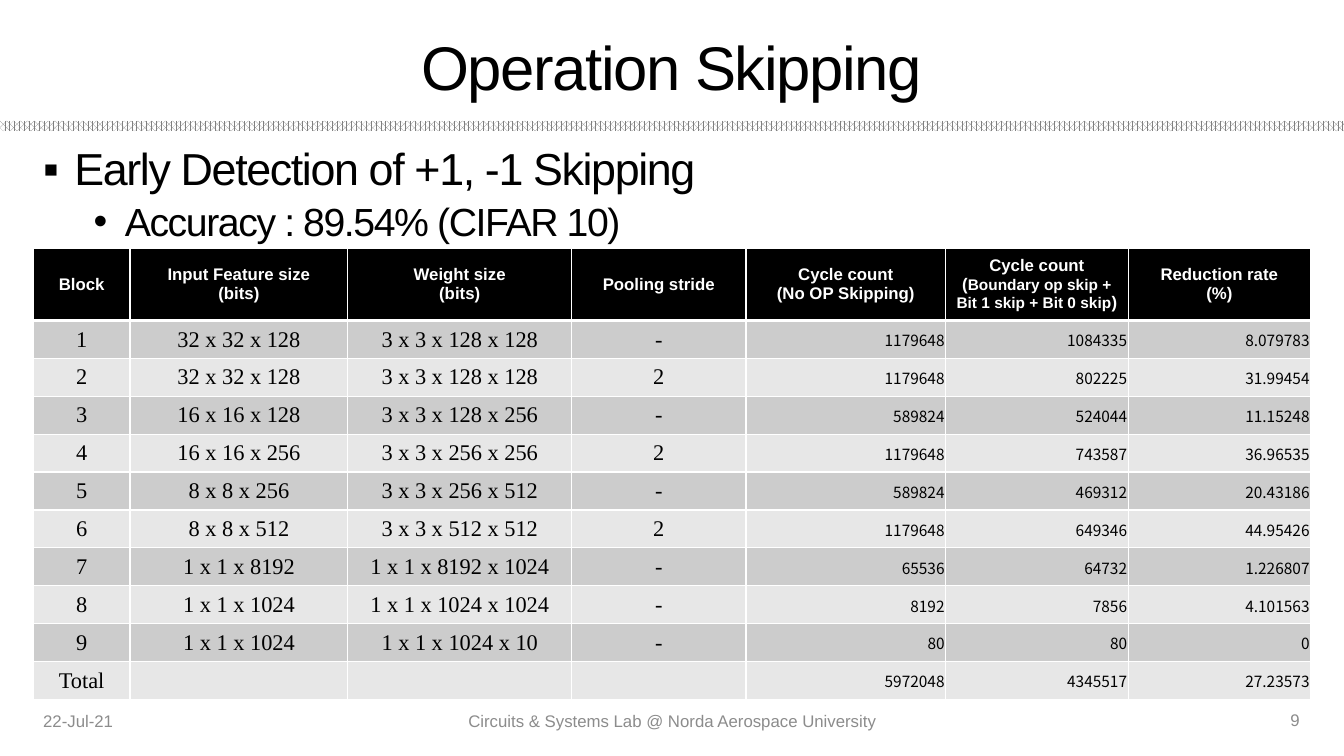
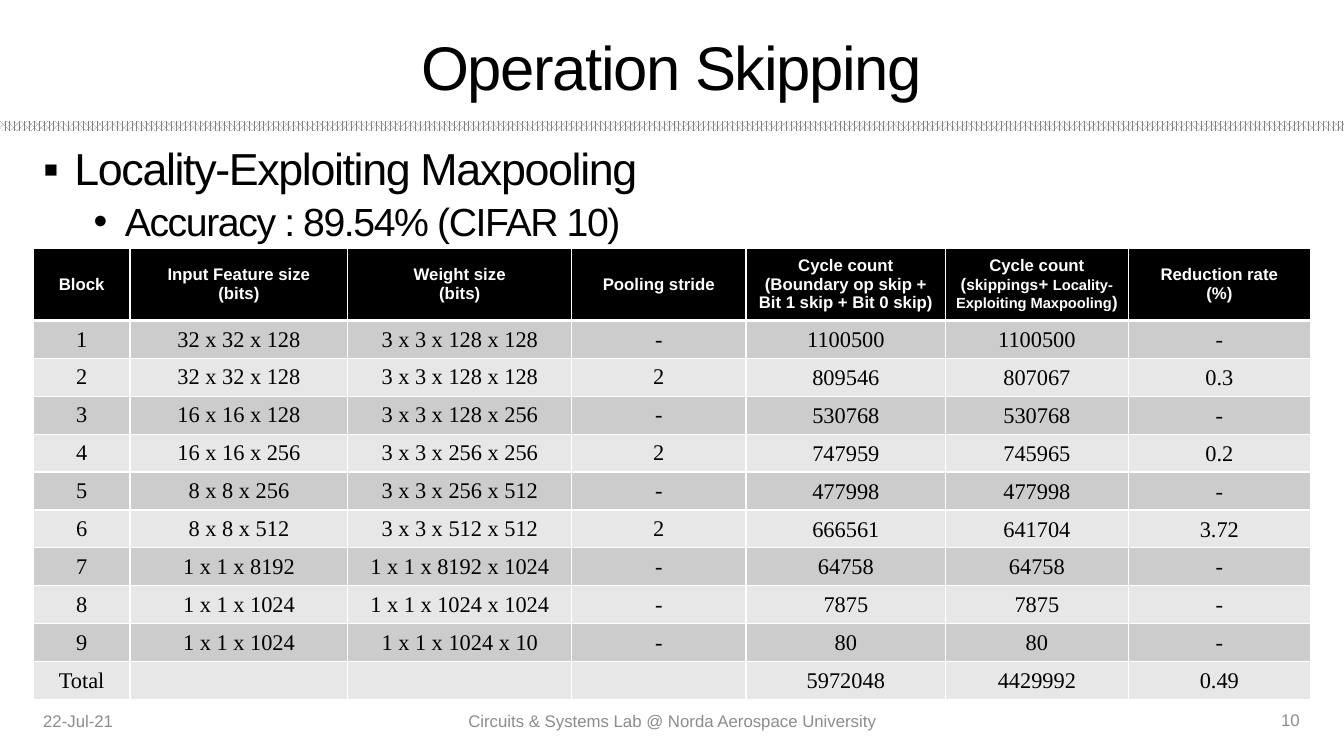
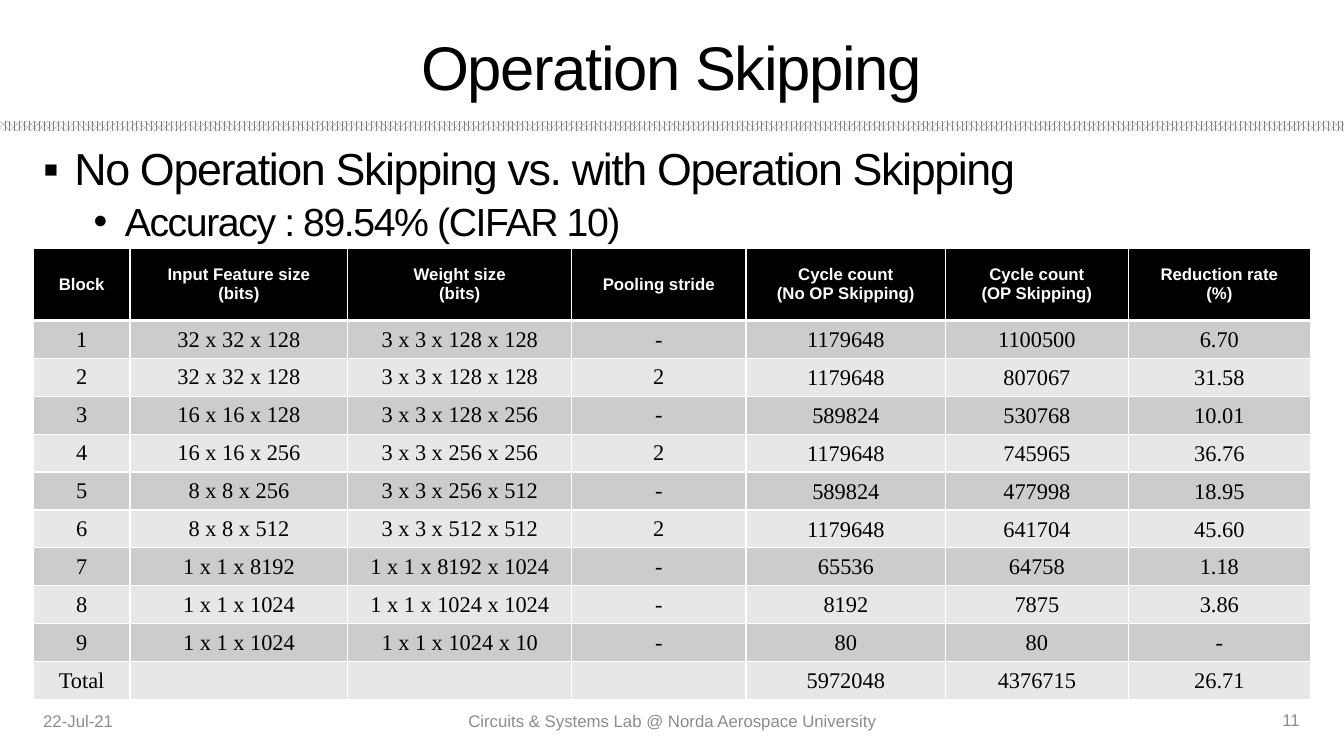
"""Build three slides that compare cycle counts under operation skipping."""
from dataclasses import dataclass

from lxml import etree
from pptx import Presentation
from pptx.dml.color import RGBColor
from pptx.enum.dml import MSO_PATTERN
from pptx.enum.shapes import MSO_SHAPE
from pptx.enum.text import MSO_ANCHOR, PP_ALIGN
from pptx.oxml.ns import qn
from pptx.util import Inches, Pt

LEFT, CENTER, RIGHT = PP_ALIGN.LEFT, PP_ALIGN.CENTER, PP_ALIGN.RIGHT
TOP, MIDDLE = MSO_ANCHOR.TOP, MSO_ANCHOR.MIDDLE
RECT, DENSE_PATTERN = MSO_SHAPE.RECTANGLE, MSO_PATTERN.PERCENT_70

BLACK = RGBColor(0x00, 0x00, 0x00)
WHITE = RGBColor(0xFF, 0xFF, 0xFF)
BAND_GRAY = RGBColor(0x80, 0x80, 0x80)
FOOTER_GRAY = RGBColor(0x8C, 0x8C, 0x8C)
ROW_DARK = RGBColor(0xCC, 0xCC, 0xCC)
ROW_LIGHT = RGBColor(0xE7, 0xE7, 0xE7)

SANS, SERIF, CJK = "Arial", "Times New Roman", "Noto Sans CJK KR"
SLIDE_W, SLIDE_H = 13.33, 7.5
MARGIN, CONTENT_W = 0.33, 12.66

TITLE = "Operation Skipping"
ACCURACY = "Accuracy : 89.54% (CIFAR 10)"
DATE = "22-Jul-21"
LAB = "Circuits & Systems Lab @ Norda Aerospace University"

COL_WIDTHS = (0.96, 2.16, 2.22, 1.73, 1.98, 1.81, 1.81)
TABLE_TOP, TABLE_H, HEADER_H = 2.46, 4.48, 0.72
LAYERS = (
    ("1", "32 x 32 x 128", "3 x 3 x 128 x 128", "-"),
    ("2", "32 x 32 x 128", "3 x 3 x 128 x 128", "2"),
    ("3", "16 x 16 x 128", "3 x 3 x 128 x 256", "-"),
    ("4", "16 x 16 x 256", "3 x 3 x 256 x 256", "2"),
    ("5", "8 x 8 x 256", "3 x 3 x 256 x 512", "-"),
    ("6", "8 x 8 x 512", "3 x 3 x 512 x 512", "2"),
    ("7", "1 x 1 x 8192", "1 x 1 x 8192 x 1024", "-"),
    ("8", "1 x 1 x 1024", "1 x 1 x 1024 x 1024", "-"),
    ("9", "1 x 1 x 1024", "1 x 1 x 1024 x 10", "-"),
    ("Total", "", "", ""),
)


@dataclass(frozen=True)
class Style:
    """Look of a run and the alignment of its paragraph."""

    size: float
    font: str = SANS
    color: RGBColor = BLACK
    align: PP_ALIGN = CENTER
    bold: bool = False
    spacing: int = 0


@dataclass(frozen=True)
class Run:
    """Piece of text with its own size."""

    text: str
    size: float


@dataclass(frozen=True)
class Bullet:
    """Bullet level: sign, left indent and space above."""

    sign: str
    indent: float
    before: int
    size: int


@dataclass(frozen=True)
class Comparison:
    """Content of one slide; a header is a tuple of lines, a line a tuple of runs."""

    number: int
    topic: str
    before: tuple
    after: tuple
    values: tuple
    value_style: Style


TITLE_STYLE = Style(44, spacing=-100)
HEADER_STYLE = Style(12, color=WHITE, bold=True)
BODY_STYLE = Style(16, SERIF)
RAW_STYLE = Style(11, CJK, align=RIGHT)
BULLETS = (Bullet("▪", 0.31, 10, 32), Bullet("•", 0.81, 5, 28))
HANGING = 0.31


def line(text: str, size: float = 12) -> tuple[Run, ...]:
    """Return a header line of one run."""
    return (Run(text, size),)


CYCLES = line("Cycle count")
NO_SKIPPING = (CYCLES, line("(No OP Skipping)"))
FIXED_HEADERS = (
    (line("Block"),),
    (line("Input Feature size"), line("(bits)")),
    (line("Weight size"), line("(bits)")),
    (line("Pooling stride"),),
)
RATE_HEADER = (line("Reduction rate"), line("(%)"))

COMPARISONS = (
    Comparison(
        9, "Early Detection of +1, -1 Skipping", NO_SKIPPING,
        (CYCLES, (Run("(", 12), Run("Boundary op skip +", 11)),
         (Run("Bit 1 skip + Bit 0 skip", 11), Run(")", 12))),
        (("1179648", "1084335", "8.079783"), ("1179648", "802225", "31.99454"),
         ("589824", "524044", "11.15248"), ("1179648", "743587", "36.96535"),
         ("589824", "469312", "20.43186"), ("1179648", "649346", "44.95426"),
         ("65536", "64732", "1.226807"), ("8192", "7856", "4.101563"),
         ("80", "80", "0"), ("5972048", "4345517", "27.23573")),
        RAW_STYLE),
    Comparison(
        10, "Locality-Exploiting Maxpooling",
        (CYCLES, line("(Boundary op skip +"), line("Bit 1 skip + Bit 0 skip)")),
        (CYCLES, (Run("(", 12), Run("skippings", 11), Run("+ ", 12),
                  Run("Locality-Exploiting Maxpooling", 10.5), Run(")", 12))),
        (("1100500", "1100500", "-"), ("809546", "807067", "0.3"),
         ("530768", "530768", "-"), ("747959", "745965", "0.2"),
         ("477998", "477998", "-"), ("666561", "641704", "3.72"),
         ("64758", "64758", "-"), ("7875", "7875", "-"),
         ("80", "80", "-"), ("5972048", "4429992", "0.49")),
        BODY_STYLE),
    Comparison(
        11, "No Operation Skipping vs. with Operation Skipping", NO_SKIPPING,
        (CYCLES, line("(OP Skipping)")),
        (("1179648", "1100500", "6.70"), ("1179648", "807067", "31.58"),
         ("589824", "530768", "10.01"), ("1179648", "745965", "36.76"),
         ("589824", "477998", "18.95"), ("1179648", "641704", "45.60"),
         ("65536", "64758", "1.18"), ("8192", "7875", "3.86"),
         ("80", "80", "-"), ("5972048", "4376715", "26.71")),
        BODY_STYLE),
)


def fill_paragraph(p, runs: tuple[Run, ...], style: Style) -> None:
    """Write runs into a paragraph."""
    p.alignment = style.align
    for run in runs:
        r = p.add_run()
        r.text = run.text
        formats = {"size": Pt(run.size), "name": style.font, "bold": style.bold}
        for name, value in formats.items():
            setattr(r.font, name, value)
        r.font.color.rgb = style.color
        if style.spacing:
            r.font._element.set("spc", str(style.spacing))


def add_box(s, left: float, top: float, width: float, height: float,
            anchor: MSO_ANCHOR = MIDDLE):
    """Add a wrapping text box and return its text frame."""
    box = s.shapes.add_textbox(Inches(left), Inches(top), Inches(width), Inches(height))
    tf = box.text_frame
    for name, value in {"word_wrap": True, "vertical_anchor": anchor}.items():
        setattr(tf, name, value)
    return tf


def add_label(s, text: str, place: tuple, style: Style) -> None:
    """Add a one-line text box."""
    fill_paragraph(add_box(s, *place).paragraphs[0], line(text, style.size), style)


def add_frame(s, number: int) -> None:
    """Draw the band, title and footer that every slide has."""
    band = s.shapes.add_shape(RECT, 0, Inches(1.2), Inches(SLIDE_W), Inches(0.1))
    band.shadow.inherit = False
    band.line.fill.background()
    band.fill.patterned()
    for name, value in {"pattern": DENSE_PATTERN}.items():
        setattr(band.fill, name, value)
    band.fill.fore_color.rgb = BAND_GRAY
    band.fill.back_color.rgb = WHITE
    add_label(s, TITLE, (MARGIN, 0.22, CONTENT_W, 0.87), TITLE_STYLE)
    footers = (
        (DATE, (MARGIN, 6.95, 3, 0.4), LEFT),
        (LAB, (4.42, 6.95, 4.5, 0.4), CENTER),
        (str(number), (9.95, 6.94, 3.04, 0.4), RIGHT),
    )
    for text, place, align in footers:
        add_label(s, text, place, Style(12, color=FOOTER_GRAY, align=align))


def add_bullets(s, texts: tuple[str, ...]) -> None:
    """Add the bulleted text, one level deeper with each line."""
    tf = add_box(s, MARGIN, 1.41, CONTENT_W, 5.35, TOP)
    for i, (text, bullet) in enumerate(zip(texts, BULLETS)):
        p = tf.add_paragraph() if i else tf.paragraphs[0]
        fill_paragraph(p, line(text, bullet.size), Style(bullet.size, align=LEFT, spacing=-100))
        formats = {"level": i, "line_spacing": 0.9, "space_before": Pt(bullet.before)}
        for name, value in formats.items():
            setattr(p, name, value)
        pPr = p._p.get_or_add_pPr()
        pPr.set("marL", str(Inches(bullet.indent)))
        pPr.set("indent", str(-Inches(HANGING)))
        etree.SubElement(pPr, qn("a:buFont"), typeface=SANS)
        etree.SubElement(pPr, qn("a:buChar"), char=bullet.sign)


def set_borders(cell, top: int, bottom: int) -> None:
    """Give a cell white borders, with widths in points."""
    tcPr = cell._tc.get_or_add_tcPr()
    for side, width in {"L": 1, "R": 1, "T": top, "B": bottom}.items():
        ln = etree.SubElement(tcPr, qn(f"a:ln{side}"), w=str(Pt(width)))
        solid = etree.SubElement(ln, qn("a:solidFill"))
        etree.SubElement(solid, qn("a:srgbClr"), val=str(WHITE))


def fill_cell(cell, lines: tuple, style: Style, fill: RGBColor) -> None:
    """Write lines into a cell and colour it."""
    cell.vertical_anchor = MIDDLE
    cell.fill.solid()
    cell.fill.fore_color.rgb = fill
    tf = cell.text_frame
    for i, runs in enumerate(lines):
        p = tf.add_paragraph() if i else tf.paragraphs[0]
        fill_paragraph(p, runs, style)


def add_cycle_table(s, item: Comparison) -> None:
    """Add the table of layers and cycle counts."""
    n_rows = len(LAYERS) + 1
    table = s.shapes.add_table(n_rows, len(COL_WIDTHS), Inches(MARGIN), Inches(TABLE_TOP),
                               Inches(CONTENT_W), Inches(TABLE_H)).table
    for col, width in zip(table.columns, COL_WIDTHS):
        col.width = Inches(width)
    for i, row in enumerate(table.rows):
        row.height = Inches((TABLE_H - HEADER_H) / len(LAYERS) if i else HEADER_H)
        for cell in row.cells:
            set_borders(cell, 3 if i == 1 else 1, 1 if i else 3)
    for j, lines in enumerate((*FIXED_HEADERS, item.before, item.after, RATE_HEADER)):
        fill_cell(table.cell(0, j), lines, HEADER_STYLE, BLACK)
    tight = {"margin_left": Inches(0.01), "margin_right": Inches(0.01),
             "margin_top": Inches(0.01), "margin_bottom": 0}
    for i, (layer, values) in enumerate(zip(LAYERS, item.values), start=1):
        fill = ROW_DARK if i % 2 else ROW_LIGHT
        for j, text in enumerate(layer + values):
            is_value = j >= len(layer)
            style = item.value_style if is_value else BODY_STYLE
            cell = table.cell(i, j)
            fill_cell(cell, (line(text, style.size),) if text else (), style, fill)
            if is_value or not text:
                for name, value in tight.items():
                    setattr(cell, name, value)


def main() -> None:
    """Build and save the presentation."""
    prs = Presentation()
    prs.slide_width, prs.slide_height = Inches(SLIDE_W), Inches(SLIDE_H)
    for item in COMPARISONS:
        s = prs.slides.add_slide(prs.slide_layouts[6])
        add_frame(s, item.number)
        add_bullets(s, (item.topic, ACCURACY))
        add_cycle_table(s, item)
    prs.save("out.pptx")


if __name__ == "__main__":
    main()
